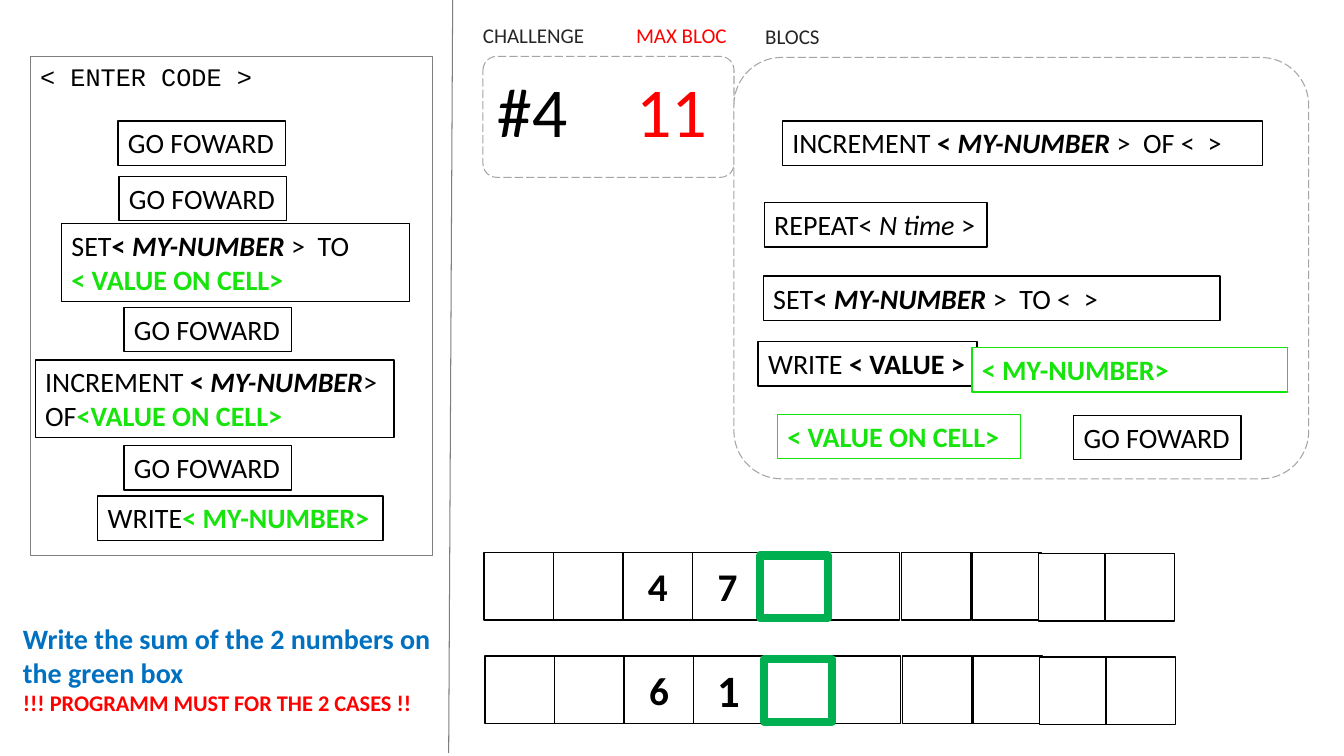
from lxml import etree
from pptx import Presentation
from pptx.dml.color import RGBColor
from pptx.enum.dml import MSO_LINE
from pptx.enum.shapes import MSO_CONNECTOR, MSO_SHAPE
from pptx.enum.text import MSO_ANCHOR, PP_ALIGN
from pptx.oxml.ns import qn
from pptx.util import Inches, Pt

RECT, ROUNDED = MSO_SHAPE.RECTANGLE, MSO_SHAPE.ROUNDED_RECTANGLE
LONG_DASH = MSO_LINE.LONG_DASH
LEFT, CENTER = PP_ALIGN.LEFT, PP_ALIGN.CENTER
TOP, MIDDLE = MSO_ANCHOR.TOP, MSO_ANCHOR.MIDDLE

BLACK = RGBColor(0x00, 0x00, 0x00)
WHITE = RGBColor(0xFF, 0xFF, 0xFF)
INK = RGBColor(0x26, 0x26, 0x26)
GRAY = RGBColor(0x7F, 0x7F, 0x7F)
SILVER = RGBColor(0xA5, 0xA5, 0xA5)
RED = RGBColor(0xFF, 0x00, 0x00)
BLUE = RGBColor(0x00, 0x70, 0xC0)
LIME = RGBColor(0x16, 0xE4, 0x0C)
GREEN = RGBColor(0x00, 0xB0, 0x50)

prs = Presentation()
prs.slide_width, prs.slide_height = Inches(13.33), Inches(7.5)
slide = prs.slides.add_slide(prs.slide_layouts[6])


def add_box(x, y, w, h, line, weight=1, fill=WHITE, kind=RECT):
    box = slide.shapes.add_shape(kind, Inches(x), Inches(y), Inches(w), Inches(h))
    box.shadow.inherit = False
    if fill is None:
        box.fill.background()
    else:
        box.fill.solid()
        box.fill.fore_color.rgb = fill
    box.line.color.rgb = line
    box.line.width = Pt(weight)
    return box


def write(shape, paragraphs, wrap=True, font="Calibri", align=LEFT, anchor=TOP):
    """Each paragraph is (size, runs); each run is (text, colour, style letters)."""
    frame = shape.text_frame
    frame.word_wrap = wrap
    frame.vertical_anchor = anchor
    for index, (size, runs) in enumerate(paragraphs):
        paragraph = frame.add_paragraph() if index else frame.paragraphs[0]
        paragraph.alignment = align
        paragraph.font.name = font
        paragraph.font.size = Pt(size)
        for text, color, style in runs:
            run = paragraph.add_run()
            run.text = text
            run.font.color.rgb = color
            run.font.bold = "b" in style
            run.font.italic = "i" in style


# Divider between the program and the challenge
divider = slide.shapes.add_connector(
    MSO_CONNECTOR.STRAIGHT, Inches(4.49), Inches(-0.03), Inches(4.45), Inches(7.47))
divider.line.color.rgb = GRAY
divider.line.width = Pt(0.75)
etree.SubElement(divider._element.spPr, qn("a:effectLst"))

# Program area and the two dashed panels
program = add_box(0.3, 0.56, 3.99, 4.95, GRAY, 0.75, fill=None)
write(program, [(18, [("< ENTER CODE >", BLACK, "")])], font="Courier New")
for x, y, w, h in [(4.79, 0.56, 2.49, 1.2), (7.28, 0.57, 5.7, 4.18)]:
    panel = add_box(x, y, w, h, SILVER, 0.75, kind=ROUNDED)
    panel.adjustments[0] = 0.113
    panel.line.dash_style = LONG_DASH

# Headings, challenge number, block limit and task
labels = [
    (4.83, 0.62, 0.91, 0.94, [(50, [("#4", BLACK, "")])]),
    (6.21, 0.62, 0.91, 0.94, [(50, [("11", RED, "")])]),
    (7.49, 0.18, 0.75, 0.35, [(15, [("BLOCS", INK, "")])]),
    (6.21, 0.17, 1.11, 0.35, [(15, [("MAX BLOC", RED, "")])]),
    (4.69, 0.17, 1.22, 0.35, [(15, [("CHALLENGE", INK, "")])]),
    (0.13, 6.12, 4.5, 1.04, [
        (20, [("Write the sum of the 2 numbers on the green box", BLUE, "b")]),
        (16, [("!!! PROGRAMM MUST FOR THE 2 CASES !!", RED, "b")])]),
]
for x, y, w, h, paragraphs in labels:
    label = slide.shapes.add_textbox(Inches(x), Inches(y), Inches(w), Inches(h))
    write(label, paragraphs)

# Two number tracks, each with a green target cell
CELL_W, CELL_H = 0.69, 0.67
FIRST_CELLS = [column * CELL_W for column in range(4)] + [3.43, 4.14]
LAST_CELLS = [(4.84, 0), (5.5, 0.01), (6.16, 0.01)]
tracks = [
    (4.8, 5.48, 7.54, {2: ("4", 28), 3: ("7", 28)}),
    (4.81, 6.51, 7.58, {2: ("6", 28), 3: ("1", 32)}),
]
for left, top, target_left, numbers in tracks:
    for column, offset in enumerate(FIRST_CELLS):
        cell = add_box(left + offset, top, CELL_W, CELL_H, BLACK)
        if column in numbers:
            number, size = numbers[column]
            write(cell, [(size, [(number, BLACK, "b")])], align=CENTER, anchor=MIDDLE)
    add_box(target_left, top + 0.03, 0.67, 0.62, GREEN, 6, fill=None)
    for offset, drop in LAST_CELLS:
        add_box(left + offset, top + drop, CELL_W, CELL_H, BLACK)

# Code blocks: position, width, outline, wrapping, lines of runs
GO = [[("GO FOWARD", BLACK, "")]]
OPEN = ("< ", BLACK, "b")
MY_NUMBER = ("MY-NUMBER ", BLACK, "bi")
CELL_VALUE = ("< VALUE ON CELL>", LIME, "b")
NUMBER_VALUE = ("< MY-NUMBER>", LIME, "b")
blocks = [
    # Available blocks
    (10.65, 4.12, 1.66, BLACK, False, GO),
    (7.52, 3.39, 2.17, BLACK, False, [[("WRITE ", BLACK, ""), ("< VALUE >", BLACK, "b")]]),
    (7.76, 1.2, 4.76, BLACK, True,
     [[("INCREMENT ", BLACK, ""), OPEN, MY_NUMBER, (">  OF <  >", BLACK, "")]]),
    (7.58, 2.01, 2.21, BLACK, False,
     [[("REPEAT< ", BLACK, ""), ("N time", BLACK, "i"), (" >", BLACK, "")]]),
    (7.71, 4.11, 2.41, LIME, True, [[CELL_VALUE]]),
    (7.57, 2.74, 4.53, BLACK, True,
     [[("SET", BLACK, ""), OPEN, MY_NUMBER, (">  TO <  >", BLACK, "")]]),
    (9.64, 3.45, 3.13, LIME, True, [[NUMBER_VALUE]]),
    # Program
    (1.17, 1.2, 1.66, BLACK, False, GO),
    (1.18, 1.75, 1.66, BLACK, False, GO),
    (0.61, 2.22, 3.45, BLACK, True,
     [[("SET", BLACK, ""), OPEN, MY_NUMBER, (">  TO", BLACK, "")], [CELL_VALUE]]),
    (1.23, 3.05, 1.66, BLACK, False, GO),
    (0.35, 3.57, 3.56, BLACK, True,
     [[("INCREMENT ", BLACK, ""), OPEN, ("MY-NUMBER", BLACK, "bi"),
       (">  OF", BLACK, ""), ("<VALUE ON CELL>", LIME, "b")]]),
    (1.23, 4.42, 1.66, BLACK, False, GO),
    (0.97, 4.92, 2.83, BLACK, False, [[("WRITE", BLACK, ""), NUMBER_VALUE]]),
]
TALL_BLOCKS = (2.22, 3.57)
for x, y, w, outline, wrap, lines in blocks:
    block = add_box(x, y, w, 0.77 if y in TALL_BLOCKS else 0.44, outline)
    write(block, [(20, runs) for runs in lines], wrap=wrap)

prs.save("out.pptx")
